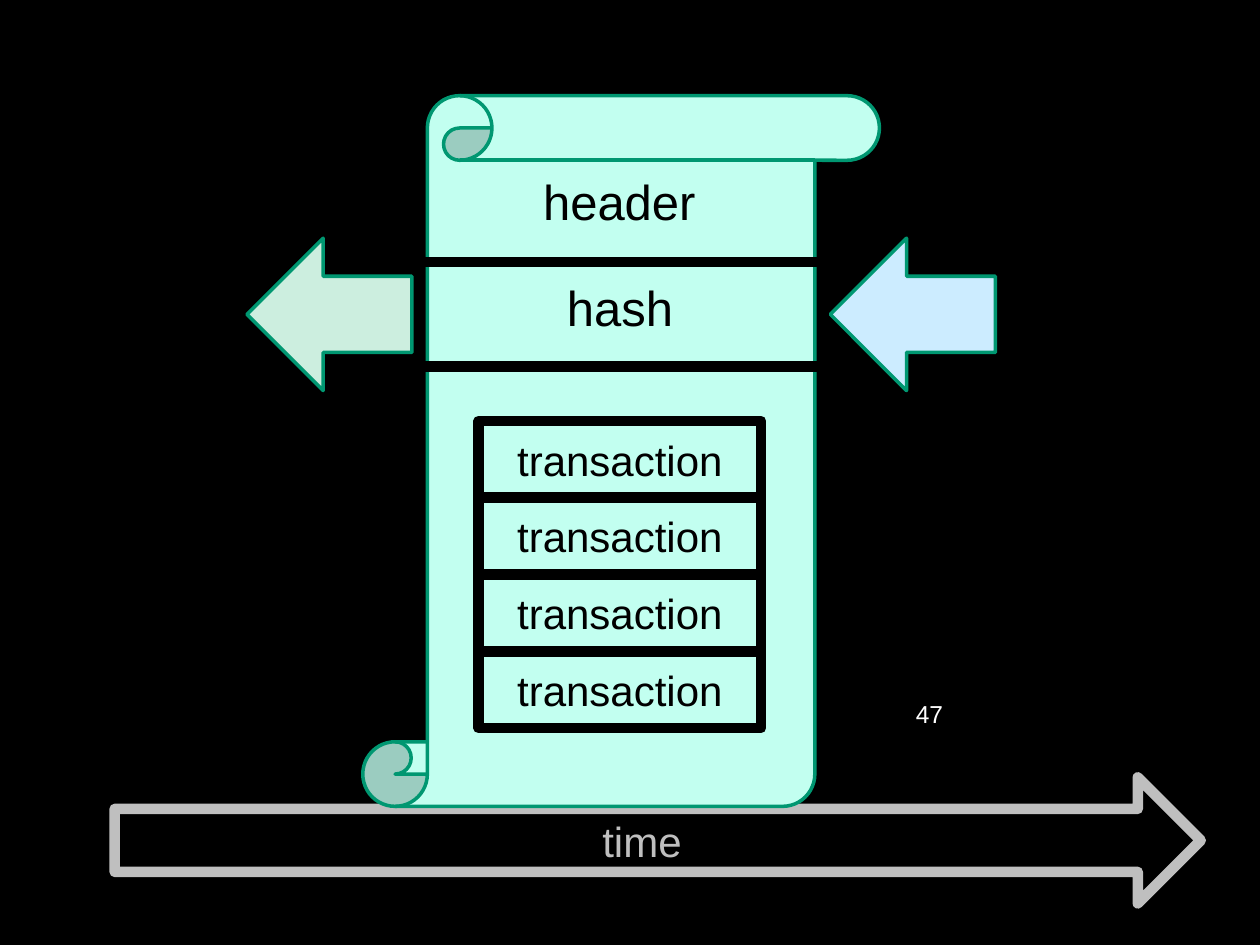
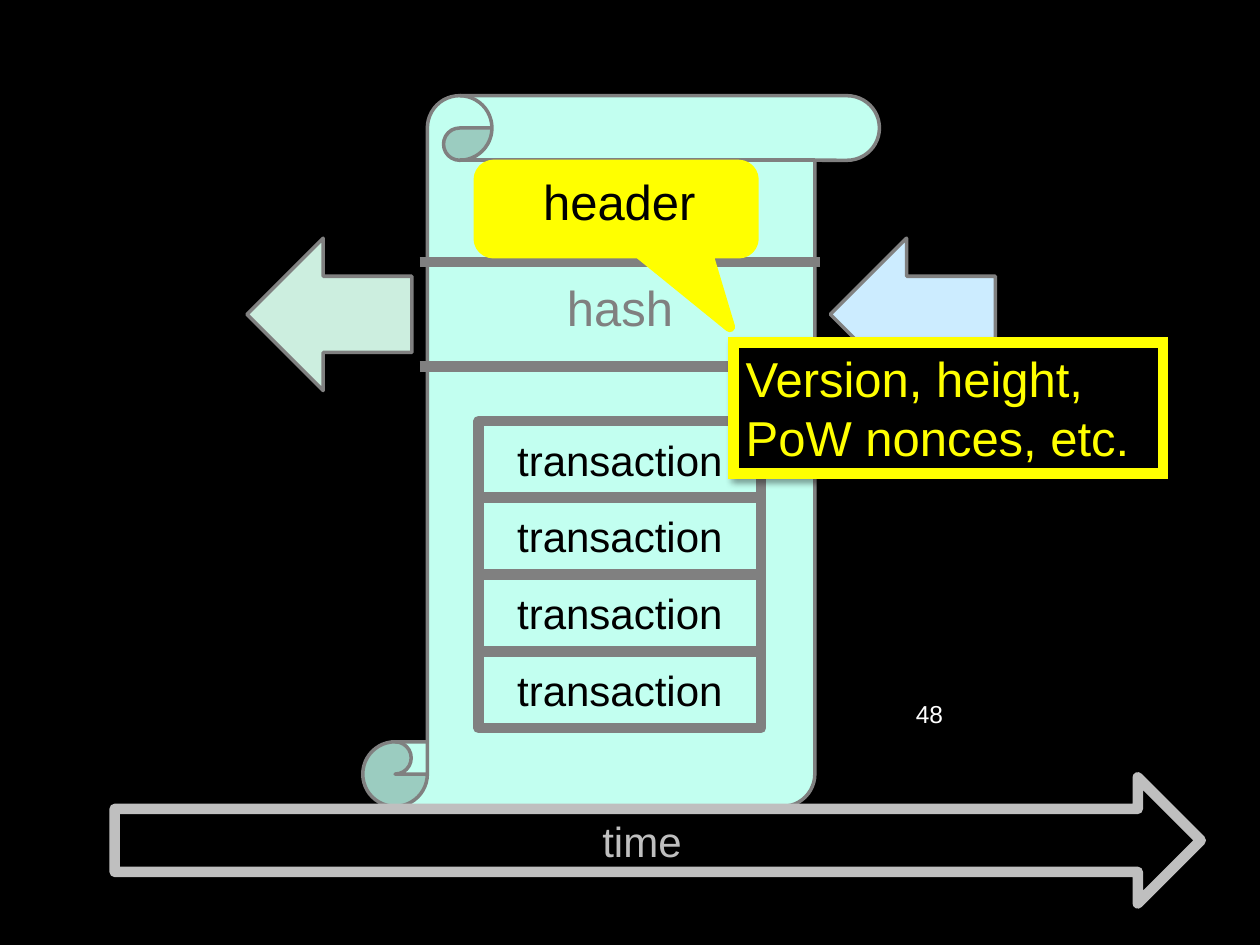
"""Builds two slides that explain the parts of a block on a time line."""
from dataclasses import dataclass
from typing import Optional

from lxml import etree
from pptx import Presentation
from pptx.dml.color import RGBColor
from pptx.enum.shapes import MSO_CONNECTOR, MSO_SHAPE
from pptx.enum.text import MSO_ANCHOR, PP_ALIGN
from pptx.oxml.ns import qn
from pptx.util import Inches, Pt

RECTANGLE = MSO_SHAPE.RECTANGLE
SCROLL = MSO_SHAPE.VERTICAL_SCROLL
LEFT_ARROW = MSO_SHAPE.LEFT_ARROW
RIGHT_ARROW = MSO_SHAPE.RIGHT_ARROW
CALLOUT = MSO_SHAPE.ROUNDED_RECTANGULAR_CALLOUT
STRAIGHT = MSO_CONNECTOR.STRAIGHT
LEFT, CENTER = PP_ALIGN.LEFT, PP_ALIGN.CENTER
TOP, MIDDLE = MSO_ANCHOR.TOP, MSO_ANCHOR.MIDDLE


@dataclass(frozen=True)
class Theme:
    font: str = "Arial"
    black: str = "000000"
    white: str = "FFFFFF"
    silver: str = "BFBFBF"
    gray: str = "808080"
    green: str = "009771"
    paper: str = "C2FFF0"
    incoming: str = "CCECFF"
    outgoing: str = "CCEEDF"
    highlight: str = "FFFF00"
    large: int = 28
    medium: int = 24
    small: int = 14
    thin: int = 2
    thick: int = 6


THEME = Theme()


@dataclass(frozen=True)
class Place:
    left: float
    top: float
    width: float
    height: float

    def lengths(self) -> tuple:
        return tuple(Inches(n) for n in (self.left, self.top, self.width, self.height))


@dataclass(frozen=True)
class Label:
    text: str
    color: str = THEME.black
    size: int = THEME.large
    align: PP_ALIGN = CENTER
    anchor: MSO_ANCHOR = TOP
    wrap: bool = False


@dataclass(frozen=True)
class Figure:
    preset: MSO_SHAPE
    place: Place
    fill: Optional[str] = None
    line: Optional[str] = None
    width: int = THEME.thick
    label: Optional[Label] = None


@dataclass(frozen=True)
class Palette:
    outline: str
    divider: str
    hash_text: str


SCROLL_PLACE = Place(2.88, 0.76, 4.1, 5.64)
TIME_PLACE = Place(0.91, 6.17, 8.62, 1)
NUMBER_PLACE = Place(7.17, 5.5, 2.08, 0.5)
HEADER_PLACE = Place(4.2, 1.31, 1.43, 0.57)
HASH_PLACE = Place(4.39, 2.15, 1.06, 0.57)
CALLOUT_PLACE = Place(3.8, 1.31, 2.18, 0.7)
DETAIL_PLACE = Place(5.82, 2.72, 3.41, 1.04)
CALLOUT_ADJUSTMENTS = (0.414, 1.336, 0.167)
HASH_ARROWS = ((6.59, THEME.incoming), (1.96, THEME.outgoing))
DIVIDER_TOPS = (2.91, 2.08)
TRANSACTION_COUNT, TRANSACTION_TOP, TRANSACTION_HEIGHT = 4, 3.34, 0.61

PLAIN = Palette(THEME.green, THEME.black, THEME.black)
DIMMED = Palette(THEME.gray, THEME.gray, THEME.gray)


def rgb(color: str) -> RGBColor:
    return RGBColor.from_string(color)


def write(box, label: Label) -> None:
    """Puts one formatted run into a shape or text box."""
    frame = box.text_frame
    frame.word_wrap = label.wrap
    frame.vertical_anchor = label.anchor
    para = frame.paragraphs[0]
    para.alignment = label.align
    span = para.add_run()
    span.text = label.text
    span.font.name = THEME.font
    span.font.size = Pt(label.size)
    span.font.color.rgb = rgb(label.color)


def draw_text(page, place: Place, label: Label) -> None:
    write(page.shapes.add_textbox(*place.lengths()), label)


def draw_figure(shapes, figure: Figure):
    """Draws a preset shape without the default shadow."""
    shape = shapes.add_shape(figure.preset, *figure.place.lengths())
    shape.shadow.inherit = False
    if figure.fill:
        shape.fill.solid()
        shape.fill.fore_color.rgb = rgb(figure.fill)
    else:
        shape.fill.background()
    if figure.line:
        shape.line.color.rgb = rgb(figure.line)
        shape.line.width = Pt(figure.width)
    else:
        shape.line.fill.background()
    if figure.label:
        write(shape, figure.label)
    return shape


def draw_divider(page, top: float, color: str) -> None:
    divider = page.shapes.add_connector(
        STRAIGHT, Inches(3.33), Inches(top), Inches(6.51), Inches(top))
    divider.line.color.rgb = rgb(color)
    divider.line.width = Pt(THEME.thick)
    etree.SubElement(divider._element.spPr, qn("a:effectLst"))


def draw_scroll(page, palette: Palette) -> None:
    draw_figure(page.shapes, Figure(
        SCROLL, SCROLL_PLACE, THEME.paper, palette.outline, THEME.thin))


def draw_time(page) -> None:
    label = Label("time", THEME.silver, THEME.medium, anchor=MIDDLE, wrap=True)
    draw_figure(page.shapes, Figure(
        RIGHT_ARROW, TIME_PLACE, THEME.black, THEME.silver, label=label))


def draw_number(page, number: int) -> None:
    draw_text(page, NUMBER_PLACE, Label(
        str(number), THEME.white, THEME.small, LEFT, wrap=True))


def draw_header(page, fill: Optional[str] = None) -> None:
    draw_figure(page.shapes, Figure(
        RECTANGLE, HEADER_PLACE, fill, label=Label("header")))


def draw_contents(page, palette: Palette) -> None:
    """Draws the hash arrows, transactions, dividers and hash label."""
    for left, fill in HASH_ARROWS:
        draw_figure(page.shapes, Figure(
            LEFT_ARROW, Place(left, 1.89, 1.31, 1.21), fill, palette.outline, THEME.thin))
    group = page.shapes.add_group_shape()
    label = Label("transaction", size=THEME.medium, anchor=MIDDLE)
    for index in range(TRANSACTION_COUNT):
        top = TRANSACTION_TOP + index * TRANSACTION_HEIGHT
        draw_figure(group.shapes, Figure(
            RECTANGLE, Place(3.8, top, 2.24, TRANSACTION_HEIGHT),
            line=palette.divider, label=label))
    for top in DIVIDER_TOPS:
        draw_divider(page, top, palette.divider)
    draw_text(page, HASH_PLACE, Label("hash", palette.hash_text))


def draw_detail(page) -> None:
    """Draws the sharp-cornered box with a soft shadow."""
    label = Label("Version, height, PoW nonces, etc.", THEME.highlight, align=LEFT, wrap=True)
    box = draw_figure(page.shapes, Figure(
        RECTANGLE, DETAIL_PLACE, THEME.black, THEME.highlight, label=label))
    properties = box._element.spPr
    etree.SubElement(properties.find(qn("a:ln")), qn("a:miter"), lim="800000")
    shadow = etree.SubElement(
        properties.find(qn("a:effectLst")), qn("a:outerShdw"),
        blurRad=str(Pt(4)), dist=str(Pt(3)), dir=str(45 * 60000))
    color = etree.SubElement(shadow, qn("a:srgbClr"), val=THEME.black)
    etree.SubElement(color, qn("a:alpha"), val="40000")


def draw_callout(page) -> None:
    callout = draw_figure(page.shapes, Figure(
        CALLOUT, CALLOUT_PLACE, THEME.highlight, THEME.highlight))
    for index, value in enumerate(CALLOUT_ADJUSTMENTS):
        callout.adjustments[index] = value


def add_page(deck):
    return deck.slides.add_slide(deck.slide_layouts.get_by_name("Blank"))


def build_block_page(deck) -> None:
    page = add_page(deck)
    draw_number(page, 47)
    draw_time(page)
    draw_scroll(page, PLAIN)
    draw_contents(page, PLAIN)
    draw_header(page)


def build_header_page(deck) -> None:
    page = add_page(deck)
    draw_scroll(page, DIMMED)
    draw_number(page, 48)
    draw_time(page)
    draw_contents(page, DIMMED)
    draw_detail(page)
    draw_callout(page)
    draw_header(page, THEME.highlight)


def main() -> None:
    deck = Presentation()
    deck.slide_width, deck.slide_height = Inches(10), Inches(7.5)
    background = deck.slide_master.background.fill
    background.solid()
    background.fore_color.rgb = rgb(THEME.black)
    build_block_page(deck)
    build_header_page(deck)
    deck.save("out.pptx")


main()
